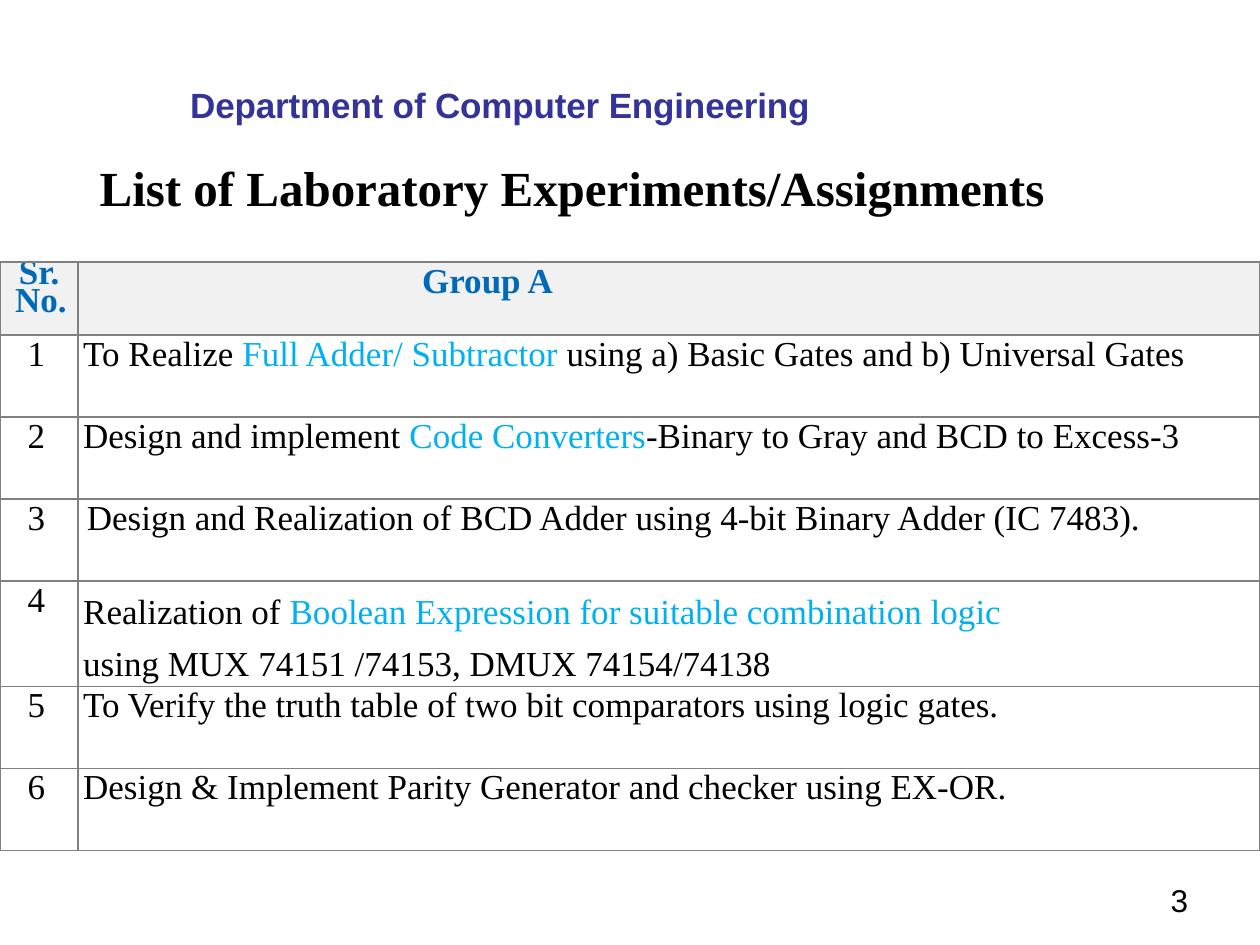
from lxml import etree
from pptx import Presentation
from pptx import util as u
from pptx.dml.color import RGBColor
from pptx.enum import text
from pptx.oxml.ns import qn

WIDTH, HEIGHT = 10, 7.5
COLORS = {"ink": "000000", "navy": "333399", "heading": "0069B8",
          "accent": "00B0F0", "header": "F1F1F1", "border": "808080"}
SERIF, SANS = "Times New Roman", "Arial"
COLUMNS = [0.62, 9.38]
HEADER_HEIGHT, ROW_HEIGHT, TALL_HEIGHT = 0.58, 0.65, 0.84
EXPERIMENTS = [
    [[("To Realize ", "ink"), ("Full Adder/ Subtractor ", "accent"),
      ("using a) Basic Gates and b) Universal Gates", "ink")]],
    [[("Design and implement ", "ink"), ("Code Converters", "accent"),
      ("-Binary to Gray and BCD to Excess-3", "ink")]],
    [[("Design and Realization of BCD Adder using 4-bit Binary Adder (IC 7483).", "ink")]],
    [[("Realization of ", "ink"),
      ("Boolean Expression for suitable combination logic ", "accent")],
     [("using MUX 74151 /74153, DMUX 74154/74138", "ink")]],
    [[("To Verify the truth table of two bit comparators using logic gates.", "ink")]],
    [[("Design & Implement Parity Generator and checker using EX-OR.", "ink")]],
]


def place(shape, left, top, width, height):
    """Move and size a shape in inches."""
    shape.left, shape.top = u.Inches(left), u.Inches(top)
    shape.width, shape.height = u.Inches(width), u.Inches(height)


def clear_margins(target):
    """Remove the inner margins of a text frame or a cell."""
    target.margin_left = target.margin_right = 0
    target.margin_top = target.margin_bottom = 0


def add_span(para, words, color, size=20, font=SERIF, bold=False):
    """Append one formatted run."""
    span = para.add_run()
    span.text = words
    span.font.name, span.font.size, span.font.bold = font, u.Pt(size), bold
    span.font.color.rgb = RGBColor.from_string(COLORS[color])
    return span


def format_para(para, indent, before=0, line=None, align=text.PP_ALIGN.JUSTIFY):
    """Set the indent, spacing and alignment of a paragraph."""
    para._p.get_or_add_pPr().set("marL", str(u.Inches(indent)))
    para.alignment = align
    para.space_before = u.Pt(before)
    if line:
        para.line_spacing = u.Pt(line)


def add_title(page, words):
    """Fill the title placeholder."""
    title = page.shapes.title
    place(title, 0, 1.25, 9.08, 1.41)
    frame = title.text_frame
    clear_margins(frame)
    frame.vertical_anchor = text.MSO_ANCHOR.TOP
    frame.paragraphs[0].alignment = text.PP_ALIGN.CENTER
    add_span(frame.paragraphs[0], words, "ink", 28, bold=True)


def add_label(page, area, words, color, size, bold=False, **layout):
    """Add a one-line sans text box and return its run."""
    box = page.shapes.add_textbox(0, 0, 0, 0)
    place(box, *area)
    frame = box.text_frame
    frame.word_wrap = True
    clear_margins(frame)
    format_para(frame.paragraphs[0], align=text.PP_ALIGN.LEFT, **layout)
    return add_span(frame.paragraphs[0], words, color, size, SANS, bold)


def style_cell(cell, fill=None):
    """Give a cell its borders, margins and fill."""
    clear_margins(cell)
    props = cell._tc.get_or_add_tcPr()
    for side in ("lnL", "lnR", "lnT", "lnB"):
        line = etree.SubElement(props, qn(f"a:{side}"), w=str(u.Pt(1)))
        solid = etree.SubElement(line, qn("a:solidFill"))
        etree.SubElement(solid, qn("a:srgbClr"), val=COLORS["border"])
    if fill:
        cell.fill.solid()
        cell.fill.fore_color.rgb = RGBColor.from_string(COLORS[fill])
    else:
        cell.fill.background()


def fill_cell(cell, lines, bold=False):
    """Write (runs, layout) paragraphs into a cell."""
    frame = cell.text_frame
    for index, (spans, layout) in enumerate(lines):
        para = frame.add_paragraph() if index else frame.paragraphs[0]
        format_para(para, **layout)
        for words, color in spans:
            add_span(para, words, color, bold=bold)


def add_experiments(page):
    """Add the table of numbered experiments."""
    heights = [HEADER_HEIGHT] + [TALL_HEIGHT if len(lines) > 1 else ROW_HEIGHT
                                 for lines in EXPERIMENTS]
    frame = page.shapes.add_table(len(heights), len(COLUMNS), 0, u.Inches(2.08),
                                  u.Inches(WIDTH), u.Inches(sum(heights)))
    table = frame.table
    table.first_row = table.horz_banding = False
    for column, width in zip(table.columns, COLUMNS):
        column.width = u.Inches(width)
    for index, height in enumerate(heights):
        table.rows[index].height = u.Inches(height)
        for cell in table.rows[index].cells:
            style_cell(cell, None if index else "header")

    fill_cell(table.cell(0, 0), [([("Sr.", "heading")], dict(indent=0.15, line=17.1)),
                                 ([("No.", "heading")], dict(indent=0.12, line=16.1))], True)
    fill_cell(table.cell(0, 1), [([("Group A", "heading")],
                                  dict(indent=2.73, before=8.5))], True)
    for number, lines in enumerate(EXPERIMENTS, 1):
        fill_cell(table.cell(number, 0), [([(str(number), "ink")],
                                           dict(indent=0.22, before=4))])
        cell = table.cell(number, 1)
        layout = dict(indent=0.07 if number == 3 else 0.04, before=4)
        if len(lines) > 1:
            cell.margin_top = u.Pt(14.7)
            rest = dict(indent=0.04, before=14.7, line=14.7)
            layouts = [dict(rest, before=0)] + [rest] * (len(lines) - 1)
        else:
            layouts = [layout]
        fill_cell(cell, list(zip(lines, layouts)))


def main():
    """Build and save the slide."""
    deck = Presentation()
    deck.slide_width, deck.slide_height = u.Inches(WIDTH), u.Inches(HEIGHT)
    page = deck.slides.add_slide(deck.slide_layouts[5])
    add_title(page, "List of Laboratory Experiments/Assignments")
    department = add_label(page, (1.5, 0.66, 4.98, 0.36), "Department of Computer Engineering",
                           "navy", 20, True, indent=0.01, before=1)
    department.font._element.set("spc", "-10")
    add_label(page, (9.25, 7, 0.36, 0.31), "3", "ink", 18, indent=0.04, line=20.9)
    add_experiments(page)
    deck.save("out.pptx")


if __name__ == "__main__":
    main()
